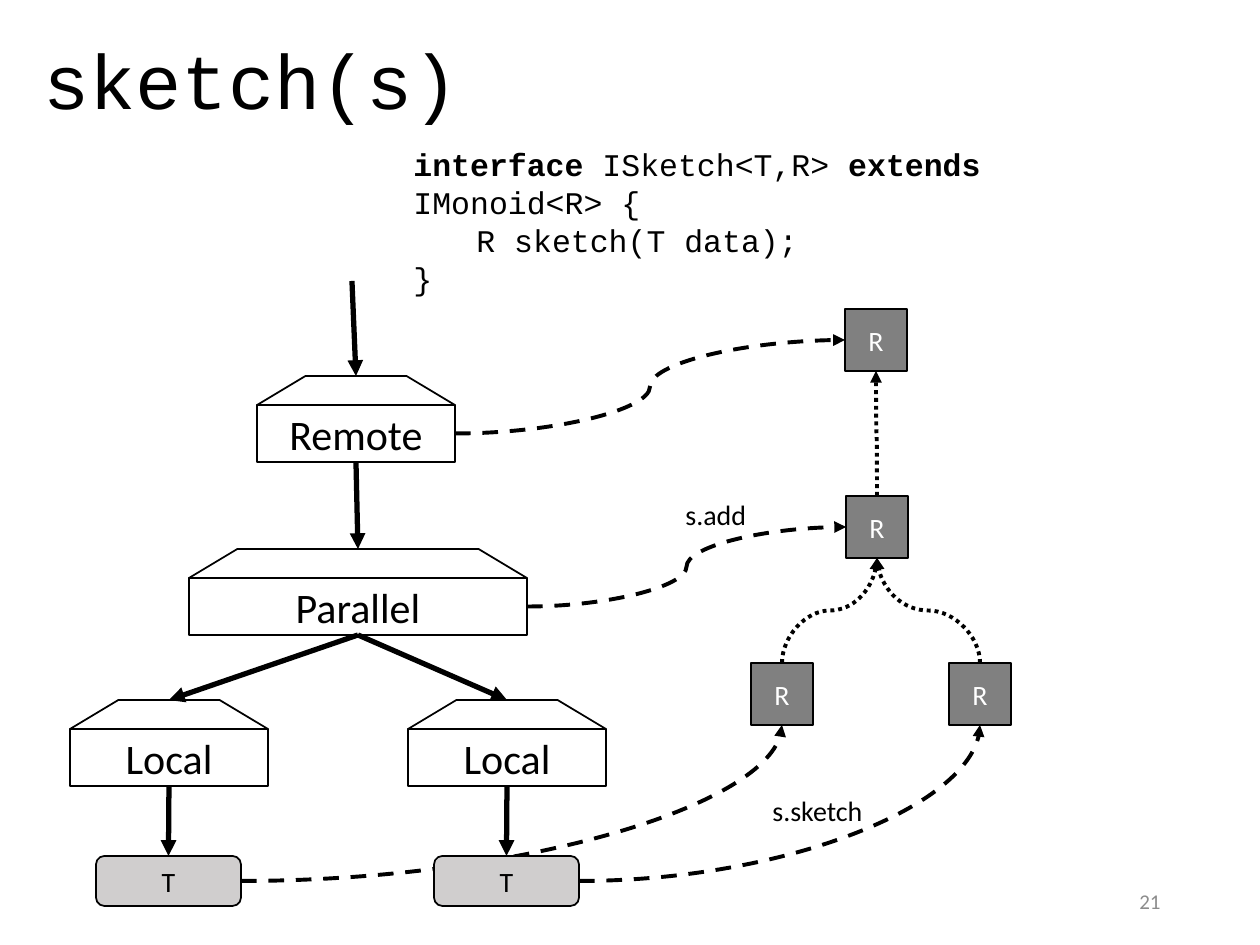
"""Build the sketch(s) slide: an operator tree beside the tree of its merged results."""
from dataclasses import dataclass
from typing import Any, Optional

from lxml import etree
from pptx import Presentation
from pptx.dml.color import RGBColor
from pptx.enum.dml import MSO_LINE
from pptx.enum.shapes import MSO_CONNECTOR, MSO_SHAPE
from pptx.enum.text import MSO_ANCHOR, PP_ALIGN
from pptx.oxml.ns import qn
from pptx.util import Pt

EMU_PER_PX = 914400 / 126
RECTANGLE, ROUNDED, TRAPEZOID = MSO_SHAPE.RECTANGLE, MSO_SHAPE.ROUNDED_RECTANGLE, MSO_SHAPE.TRAPEZOID
STRAIGHT, CURVE = MSO_CONNECTOR.STRAIGHT, MSO_CONNECTOR.CURVE
DASH, DOT = MSO_LINE.DASH, MSO_LINE.ROUND_DOT
LEFT, CENTER, RIGHT = PP_ALIGN.LEFT, PP_ALIGN.CENTER, PP_ALIGN.RIGHT
TOP, MIDDLE = MSO_ANCHOR.TOP, MSO_ANCHOR.MIDDLE
SIDE_TOP, SIDE_LEFT, SIDE_BOTTOM, SIDE_RIGHT = range(4)
COLORS = {"black": "000000", "white": "FFFFFF", "result": "808080", "data": "D0CECE", "number": "8C8C8C"}
SANS, MONO = "Calibri", "Courier New"
ROOF_HEIGHT, BODY_HEIGHT = 29, 57
RESULT_SIZE = 62
DATA_WIDTH, DATA_HEIGHT = 145, 50
TAB_STOP = 63


@dataclass
class Operator:
    name: str
    left: int
    top: int
    width: int

    @property
    def peak(self) -> tuple[int, int]:
        """Return the middle of the roof."""
        return self.left + self.width // 2, self.top


@dataclass
class Label:
    text: str
    left: int
    top: int
    width: int
    height: int
    size: int
    font: str = SANS
    color: str = "black"
    align: Any = LEFT
    anchor: Any = TOP
    spacing: float = 1.0


@dataclass
class Span:
    text: str
    bold: bool = False


REMOTE = Operator("Remote", 257, 376, 198)
PARALLEL = Operator("Parallel", 189, 549, 338)
LOCALS = [Operator("Local", left, 700, 198) for left in (70, 408)]
LABELS = [
    Label("sketch(s)", 31, 16, 1147, 137, 44, font=MONO, anchor=MIDDLE, spacing=0.9),
    Label("21", 890, 876, 283, 50, 12, color="number", align=RIGHT, anchor=MIDDLE),
    Label("s.add", 673, 491, 222, 47, 16),
    Label("s.sketch", 760, 787, 116, 47, 16),
]
CODE = Label("", 401, 139, 777, 127, 18, font=MONO)
CODE_LINES = [
    [Span("interface ", True), Span("ISketch<T,R> "), Span("extends ", True), Span("IMonoid<R> {")],
    [Span("\tR sketch(T data);")],
    [Span("}")],
]


def px(length: float) -> int:
    """Turn pixels into EMU."""
    return round(length * EMU_PER_PX)


def color(name: str) -> RGBColor:
    """Look up a named colour."""
    return RGBColor.from_string(COLORS[name])


def style_span(span: Any, size: int, font: str, shade: str) -> None:
    """Set the size, font and colour of a run."""
    span.font.size = Pt(size)
    span.font.name = font
    span.font.color.rgb = color(shade)


def add_box(shapes: Any, kind: Any, bounds: tuple[int, int, int, int], text: str = "",
            fill: Optional[str] = None, size: int = 16, shade: str = "black") -> Any:
    """Draw an outlined shape with centred text."""
    box = shapes.add_shape(kind, *map(px, bounds))
    box.shadow.inherit = False
    if fill:
        box.fill.solid()
        box.fill.fore_color.rgb = color(fill)
    else:
        box.fill.background()
    box.line.color.rgb = color("black")
    box.line.width = Pt(1)
    if text:
        frame = box.text_frame
        frame.text = text
        frame.vertical_anchor = MIDDLE
        para = frame.paragraphs[0]
        para.alignment = CENTER
        style_span(para.runs[0], size, SANS, shade)
    return box


def add_operator(page: Any, operator: Operator) -> Any:
    """Draw a grouped roof and body, and return the body."""
    shapes = page.shapes.add_group_shape().shapes
    left, top, width = operator.left, operator.top, operator.width
    roof = add_box(shapes, TRAPEZOID, (left, top, width, ROOF_HEIGHT))
    roof.adjustments[0] = 1.667
    return add_box(shapes, RECTANGLE, (left, top + ROOF_HEIGHT, width, BODY_HEIGHT),
                   operator.name, size=24)


def add_result(page: Any, left: int, top: int) -> Any:
    """Draw a grey result square."""
    return add_box(page.shapes, RECTANGLE, (left, top, RESULT_SIZE, RESULT_SIZE), "R", "result", shade="white")


def add_data(page: Any, left: int) -> Any:
    """Draw a rounded data box."""
    return add_box(page.shapes, ROUNDED, (left, 856, DATA_WIDTH, DATA_HEIGHT), "T", "data")


def style_connector(connector: Any, width: float, dash: Any = None) -> None:
    """Make a connector a black arrow without a shadow."""
    connector.line.color.rgb = color("black")
    connector.line.width = Pt(width)
    if dash:
        connector.line.dash_style = dash
    properties = connector._element.spPr
    etree.SubElement(properties.find(qn("a:ln")), qn("a:tailEnd"), type="triangle")
    etree.SubElement(properties, qn("a:effectLst"))


def add_arrow(page: Any, start: Any, end: Any) -> None:
    """Draw a thick arrow from a point or a box's bottom to a point or a box's top."""
    begin_point = start if isinstance(start, tuple) else (0, 0)
    end_point = end if isinstance(end, tuple) else (0, 0)
    arrow = page.shapes.add_connector(STRAIGHT, *map(px, begin_point + end_point))
    if not isinstance(start, tuple):
        arrow.begin_connect(start, SIDE_BOTTOM)
    if not isinstance(end, tuple):
        arrow.end_connect(end, SIDE_TOP)
    style_connector(arrow, 3)


def add_curve(page: Any, start: Any, start_side: int, end: Any, end_side: int, dash: Any) -> None:
    """Draw a curved arrow that leaves and enters at the given sides."""
    curve = page.shapes.add_connector(CURVE, 0, 0, 0, 0)
    curve.begin_connect(start, start_side)
    curve.end_connect(end, end_side)
    properties = curve._element.spPr
    if (start_side, end_side) == (SIDE_RIGHT, SIDE_BOTTOM):
        properties.find(qn("a:prstGeom")).set("prst", "curvedConnector2")
    elif start_side == SIDE_TOP:
        leftward = curve.end_x < curve.begin_x
        center_x, center_y = (curve.begin_x + curve.end_x) // 2, (curve.begin_y + curve.end_y) // 2
        curve.width, curve.height = curve.height, curve.width
        curve.left, curve.top = center_x - curve.width // 2, center_y - curve.height // 2
        frame = properties.find(qn("a:xfrm"))
        frame.set("rot", "16200000")
        frame.set("flipH", "0")
        frame.set("flipV", "1" if leftward else "0")
    style_connector(curve, 2.25, dash)


def add_label(page: Any, label: Label) -> Any:
    """Draw a text box and return its first paragraph."""
    box = page.shapes.add_textbox(*map(px, (label.left, label.top, label.width, label.height)))
    frame = box.text_frame
    frame.word_wrap = True
    frame.vertical_anchor = label.anchor
    frame.text = label.text
    para = frame.paragraphs[0]
    para.alignment = label.align
    para.line_spacing = label.spacing
    for span in para.runs:
        style_span(span, label.size, label.font, label.color)
    return para


def add_code(page: Any) -> None:
    """Draw the interface declaration with bold keywords."""
    para = add_label(page, CODE)
    tabs = etree.SubElement(para._p.get_or_add_pPr(), qn("a:tabLst"))
    etree.SubElement(tabs, qn("a:tab"), pos=str(px(TAB_STOP)), algn="l")
    for index, line in enumerate(CODE_LINES):
        if index:
            para.add_line_break()
        for part in line:
            span = para.add_run()
            span.text = part.text
            span.font.bold = part.bold
            style_span(span, CODE.size, CODE.font, CODE.color)


def main() -> None:
    """Build and save the deck."""
    deck = Presentation()
    deck.slide_width, deck.slide_height = px(1260), px(945)
    page = deck.slides.add_slide(deck.slide_layouts[6])
    remote, parallel = (add_operator(page, operator) for operator in (REMOTE, PARALLEL))
    local_bodies = [add_operator(page, operator) for operator in LOCALS]
    root, merged = add_result(page, 845, 309), add_result(page, 846, 496)
    leaves = [add_result(page, left, 663) for left in (751, 949)]
    add_arrow(page, (352, 281), REMOTE.peak)
    add_arrow(page, remote, PARALLEL.peak)
    for operator, body, leaf in zip(LOCALS, local_bodies, leaves):
        data = add_data(page, operator.left + (operator.width - DATA_WIDTH) // 2)
        add_arrow(page, parallel, operator.peak)
        add_arrow(page, body, data)
        add_curve(page, data, SIDE_RIGHT, leaf, SIDE_BOTTOM, DASH)
        add_curve(page, leaf, SIDE_TOP, merged, SIDE_BOTTOM, DOT)
    add_curve(page, merged, SIDE_TOP, root, SIDE_BOTTOM, DOT)
    add_curve(page, parallel, SIDE_RIGHT, merged, SIDE_LEFT, DASH)
    add_curve(page, remote, SIDE_RIGHT, root, SIDE_LEFT, DASH)
    for label in LABELS:
        add_label(page, label)
    add_code(page)
    deck.save("out.pptx")


if __name__ == "__main__":
    main()
